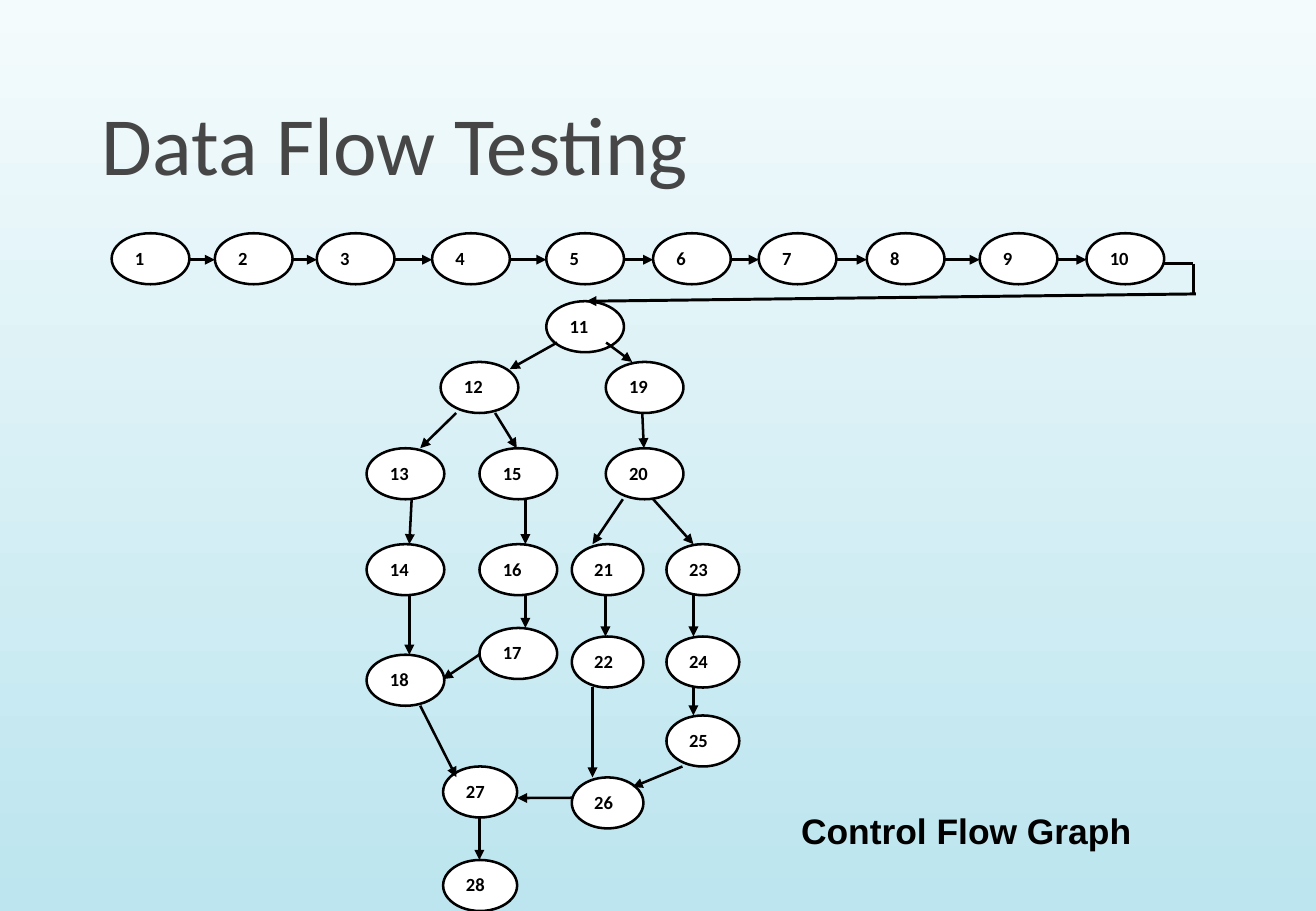
from lxml.etree import SubElement
from pptx import Presentation
from pptx.dml.color import RGBColor
from pptx.enum.shapes import MSO_CONNECTOR, MSO_SHAPE
from pptx.enum.text import MSO_ANCHOR
from pptx.oxml.ns import qn
from pptx.util import Inches, Pt

TITLE = "Data Flow Testing"
CAPTION = "Control Flow Graph"
SKY = [(0, "F4FBFC"), (1, "BCE5EF")]
INK, PAPER, TITLE_GREY = "000000", "FFFFFF", "464646"

WIDTH, HEIGHT = 10.84, 7.5
NODE_H = 0.42
CHAIN_TOP = 1.92
CHAIN_LEFTS = [0.92, 1.77, 2.61, 3.56, 4.5, 5.38, 6.25, 7.14, 8.07, 8.95]

COLUMNS = {
    "chain": (4.5, 0.64),
    "left": (3.02, 0.64),
    "fork": (3.63, 0.64),
    "right": (3.95, 0.64),
    "exit": (3.65, 0.61),
    "inner": (4.71, 0.59),
    "branch": (4.99, 0.64),
    "outer": (5.49, 0.6),
}
ROWS = [
    (2.48, {11: "chain"}),
    (2.98, {12: "fork", 19: "branch"}),
    (3.69, {13: "left", 15: "right", 20: "branch"}),
    (4.48, {14: "left", 16: "right", 21: "inner", 23: "outer"}),
    (5.17, {17: "right"}),
    (5.24, {22: "inner", 24: "outer"}),
    (5.39, {18: "left"}),
    (5.89, {25: "outer"}),
    (6.31, {27: "exit"}),
    (6.4, {26: "inner"}),
    (7.08, {28: "exit"}),
]

DOWN_ARROWS = [
    (12, 13, 0.2, 0.69), (12, 15, 0.7, 0.48), (19, 20, 0.47, 0.49),
    (13, 14, 0.58, 0.55), (15, 16, 0.59, 0.59), (16, 17, 0.59, 0.59),
    (14, 18, 0.55, 0.55), (20, 21, 0.22, 0.29), (20, 23, 0.61, 0.37),
    (21, 22, 0.47, 0.47), (23, 24, 0.37, 0.37), (24, 25, 0.37, 0.37),
    (22, 26, 0.29, 0.29), (27, 28, 0.49, 0.49),
]
SLANTED_ARROWS = [
    (11, 12, (0.14, 0.81), (0.89, 0.14)),
    (11, 19, (0.77, 0.81), (0.34, 0)),
    (17, 18, (0, 0.52), (0.98, 0.48)),
    (18, 27, (0.69, 1), (0.18, 0.21)),
    (25, 26, (0.22, 1), (0.85, 0.19)),
    (26, 27, (0, 0.4), (1, 0.62)),
]
RETURN_PATH = [
    ((9.58, 2.17), (9.83, 2.17), 1.5, False),
    ((9.83, 2.17), (9.83, 2.42), 1.75, False),
    ((9.85, 2.42), (4.83, 2.48), 1.75, True),
]


def color(code):
    return RGBColor.from_string(code)


def write(frame, words, font_name, size, ink, bold=False):
    frame.text = words
    font = frame.paragraphs[0].runs[0].font
    font.name, font.size, font.bold = font_name, Pt(size), bold
    font.color.rgb = color(ink)


def add_label(slide, box, words, anchor, inset, *style):
    frame = slide.shapes.add_textbox(*map(Inches, box)).text_frame
    frame.word_wrap = True
    frame.vertical_anchor = anchor
    frame.margin_left = frame.margin_right = Inches(inset)
    frame.margin_top = frame.margin_bottom = Inches(inset / 2)
    write(frame, words, *style)


def add_node(slide, number, box):
    node = slide.shapes.add_shape(MSO_SHAPE.OVAL, *map(Inches, box))
    node.shadow.inherit = False
    node.fill.solid()
    node.fill.fore_color.rgb = color(PAPER)
    node.line.color.rgb = color(INK)
    node.line.width = Pt(1.5)
    frame = node.text_frame
    frame.vertical_anchor = MSO_ANCHOR.TOP
    write(frame, str(number), "Calibri", 11, INK, True)
    frame.paragraphs[0].alignment = 1


def add_edge(slide, start, end, weight=1.5, arrow=True):
    edge = slide.shapes.add_connector(
        MSO_CONNECTOR.STRAIGHT, *map(Inches, start + end))
    edge.line.color.rgb = color(INK)
    edge.line.width = Pt(weight)
    if arrow:
        SubElement(edge.line._get_or_add_ln(), qn("a:tailEnd"), type="triangle")
    SubElement(edge._element.spPr, qn("a:effectLst"))


def point_on(box, share):
    left, top, width, height = box
    return left + share[0] * width, top + share[1] * height


def main():
    deck = Presentation()
    deck.slide_width, deck.slide_height = Inches(WIDTH), Inches(HEIGHT)
    slide = deck.slides.add_slide(deck.slide_layouts[6])

    backdrop = slide.background.fill
    backdrop.gradient()
    backdrop.gradient_angle = 270
    for stop, (position, shade) in zip(backdrop.gradient_stops, SKY):
        stop.position = position
        stop.color.rgb = color(shade)

    add_label(slide, (0.72, 0.17, 9.66, 1.47), TITLE, MSO_ANCHOR.BOTTOM, 0.12,
              "Calibri", 49, TITLE_GREY)

    nodes = {number: (left, CHAIN_TOP, 0.64, NODE_H)
             for number, left in enumerate(CHAIN_LEFTS, 1)}
    for top, members in ROWS:
        for number, column in members.items():
            left, width = COLUMNS[column]
            nodes[number] = (left, top, width, NODE_H)
    for number, box in nodes.items():
        add_node(slide, number, box)

    chain = [(n, n + 1, (1, 0.52), (0, 0.52)) for n in range(1, len(CHAIN_LEFTS))]
    down = [(a, b, (leave, 1), (enter, 0)) for a, b, leave, enter in DOWN_ARROWS]
    for source, target, leave, enter in chain + down + SLANTED_ARROWS:
        add_edge(slide, point_on(nodes[source], leave), point_on(nodes[target], enter))
    for segment in RETURN_PATH:
        add_edge(slide, *segment)

    add_label(slide, (6.5, 6.61, 3.42, 0.45), CAPTION, MSO_ANCHOR.TOP, 0.1,
              "Arial", 21, INK, True)
    deck.save("out.pptx")


if __name__ == "__main__":
    main()
